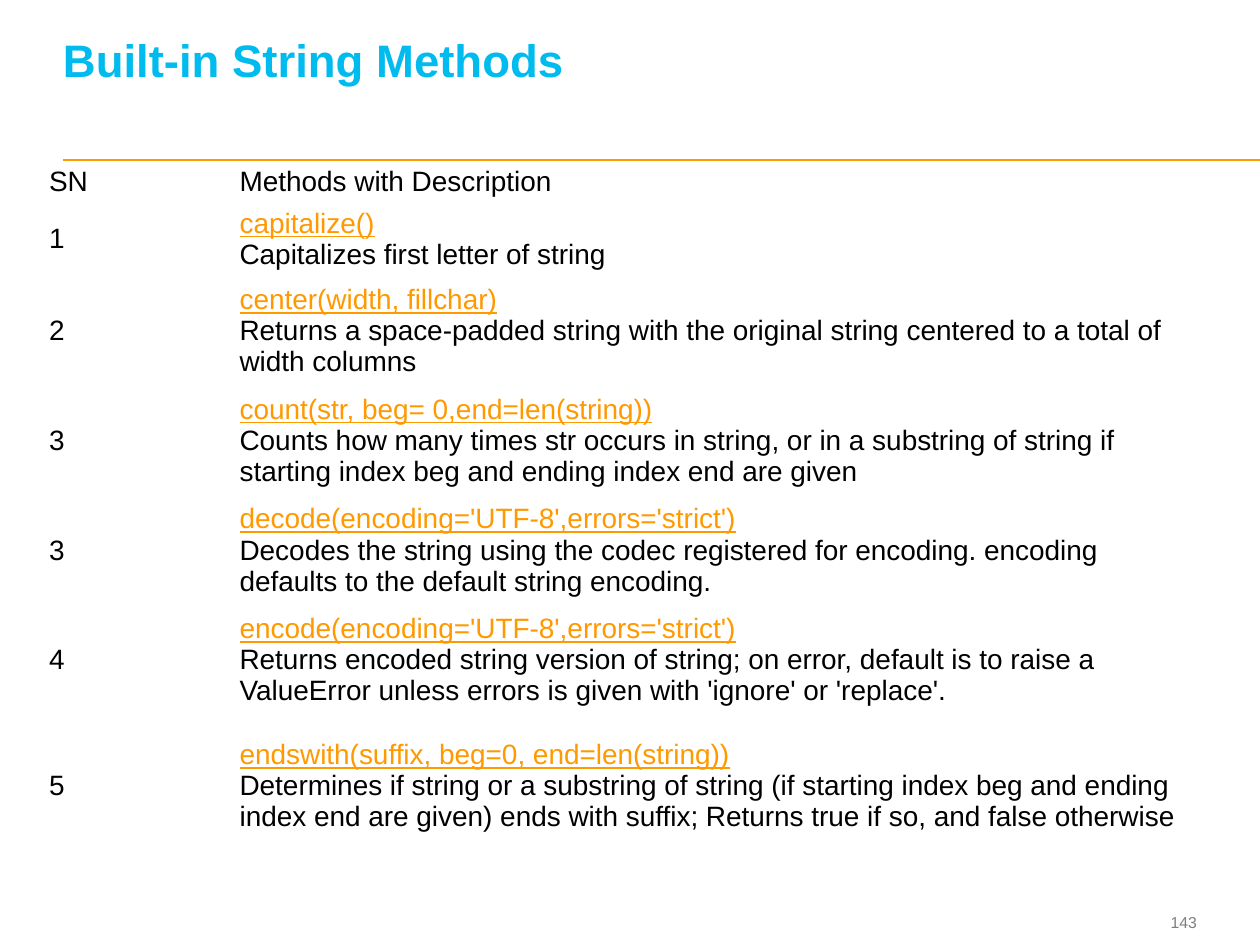
from dataclasses import dataclass

from lxml.etree import SubElement
from pptx import Presentation
from pptx.dml.color import RGBColor
from pptx.enum.shapes import MSO_CONNECTOR
from pptx.enum.text import MSO_ANCHOR, PP_ALIGN
from pptx.oxml.ns import qn
from pptx.util import Cm, Pt


@dataclass(frozen=True)
class Theme:
    font: str = "Arial"
    title: RGBColor = RGBColor(0x00, 0xBB, 0xEE)
    accent: RGBColor = RGBColor(0xFF, 0x99, 0x00)
    text: RGBColor = RGBColor(0x00, 0x00, 0x00)
    muted: RGBColor = RGBColor(0x7F, 0x7F, 0x7F)
    title_size: Pt = Pt(26)
    body_size: Pt = Pt(16)
    number_size: Pt = Pt(9)


THEME = Theme()
MARGIN = 1.27
COLUMN_WIDTHS = (3.84, 19.28)
ROW_HEIGHTS = (0.79, 1.5, 2.21, 2.21, 2.21, 2.21, 2.87)
HEADER = ("SN", "Methods with Description")
METHODS = (
    ("1", "capitalize()", "Capitalizes first letter of string"),
    ("2", "center(width, fillchar)",
     "Returns a space-padded string with the original string centered "
     "to a total of width columns"),
    ("3", "count(str, beg= 0,end=len(string))",
     "Counts how many times str occurs in string, or in a substring of string "
     "if starting index beg and ending index end are given"),
    ("3", "decode(encoding='UTF-8',errors='strict')",
     "Decodes the string using the codec registered for encoding. "
     "encoding defaults to the default string encoding."),
    ("4", "encode(encoding='UTF-8',errors='strict')",
     "Returns encoded string version of string; on error, default is to raise "
     "a ValueError unless errors is given with 'ignore' or 'replace'."),
    ("5", "endswith(suffix, beg=0, end=len(string))",
     "Determines if string or a substring of string (if starting index beg and "
     "ending index end are given) ends with suffix; Returns true if so, "
     "and false otherwise"),
)


def set_values(target, values):
    for name, value in values.items():
        setattr(target, name, value)


def add_run(p, text, size, color, **font_values):
    r = p.add_run()
    r.text = text
    set_values(r.font, {"name": THEME.font, "size": size, **font_values})
    r.font.color.rgb = color


def add_text(s, box, text, size, color, frame, paragraph, **font_values):
    tf = s.shapes.add_textbox(*map(Cm, box)).text_frame
    set_values(tf, {"word_wrap": True, "margin_left": 0, "margin_top": 0,
                    "margin_right": 0, "margin_bottom": 0, **frame})
    p = tf.paragraphs[0]
    set_values(p, paragraph)
    add_run(p, text, size, color, **font_values)


def add_rule(s, y, right):
    line = s.shapes.add_connector(MSO_CONNECTOR.STRAIGHT, Cm(MARGIN), Cm(y), right, Cm(y))
    line.line.color.rgb = THEME.accent
    line.line.width = Pt(1)
    SubElement(line._element.spPr, qn("a:effectLst"))


def fill_cell(cell, text, signature=None):
    """Write the text, under an underlined method signature if there is one."""
    set_values(cell, {"vertical_anchor": MSO_ANCHOR.MIDDLE,
                      "margin_left": Cm(0.08), "margin_right": Cm(0.08),
                      "margin_top": Cm(0.05), "margin_bottom": Cm(0.05)})
    cell.fill.background()
    p = cell.text_frame.paragraphs[0]
    if signature:
        add_run(p, signature, THEME.body_size, THEME.accent, underline=True)
        p.add_line_break()
    add_run(p, text, THEME.body_size, THEME.text)


def add_method_table(s):
    box = (0.91, 3.28, sum(COLUMN_WIDTHS), sum(ROW_HEIGHTS))
    table = s.shapes.add_table(len(ROW_HEIGHTS), len(COLUMN_WIDTHS), *map(Cm, box)).table
    set_values(table, {"first_row": False, "horz_banding": False})
    for column, width in zip(table.columns, COLUMN_WIDTHS):
        column.width = Cm(width)
    for row, height in zip(table.rows, ROW_HEIGHTS):
        row.height = Cm(height)
    for i, label in enumerate(HEADER):
        fill_cell(table.cell(0, i), label)
    for i, (number, signature, description) in enumerate(METHODS, 1):
        fill_cell(table.cell(i, 0), number)
        fill_cell(table.cell(i, 1), description, signature)


def main():
    prs = Presentation()
    set_values(prs, {"slide_width": Cm(25.4), "slide_height": Cm(19.05)})
    s = prs.slides.add_slide(prs.slide_layouts[6])
    add_rule(s, 3.23, prs.slide_width)
    add_text(s, (22.63, 18.24, 1.5, 0.69), "143", THEME.number_size, THEME.muted,
             {"vertical_anchor": MSO_ANCHOR.MIDDLE}, {"alignment": PP_ALIGN.RIGHT})
    add_text(s, (MARGIN, 0.48, 22.78, 2.18), "Built-in String Methods",
             THEME.title_size, THEME.title,
             {"vertical_anchor": MSO_ANCHOR.BOTTOM, "margin_bottom": Cm(0.92)},
             {"line_spacing": THEME.title_size}, bold=True)
    add_method_table(s)
    prs.save("out.pptx")


if __name__ == "__main__":
    main()
